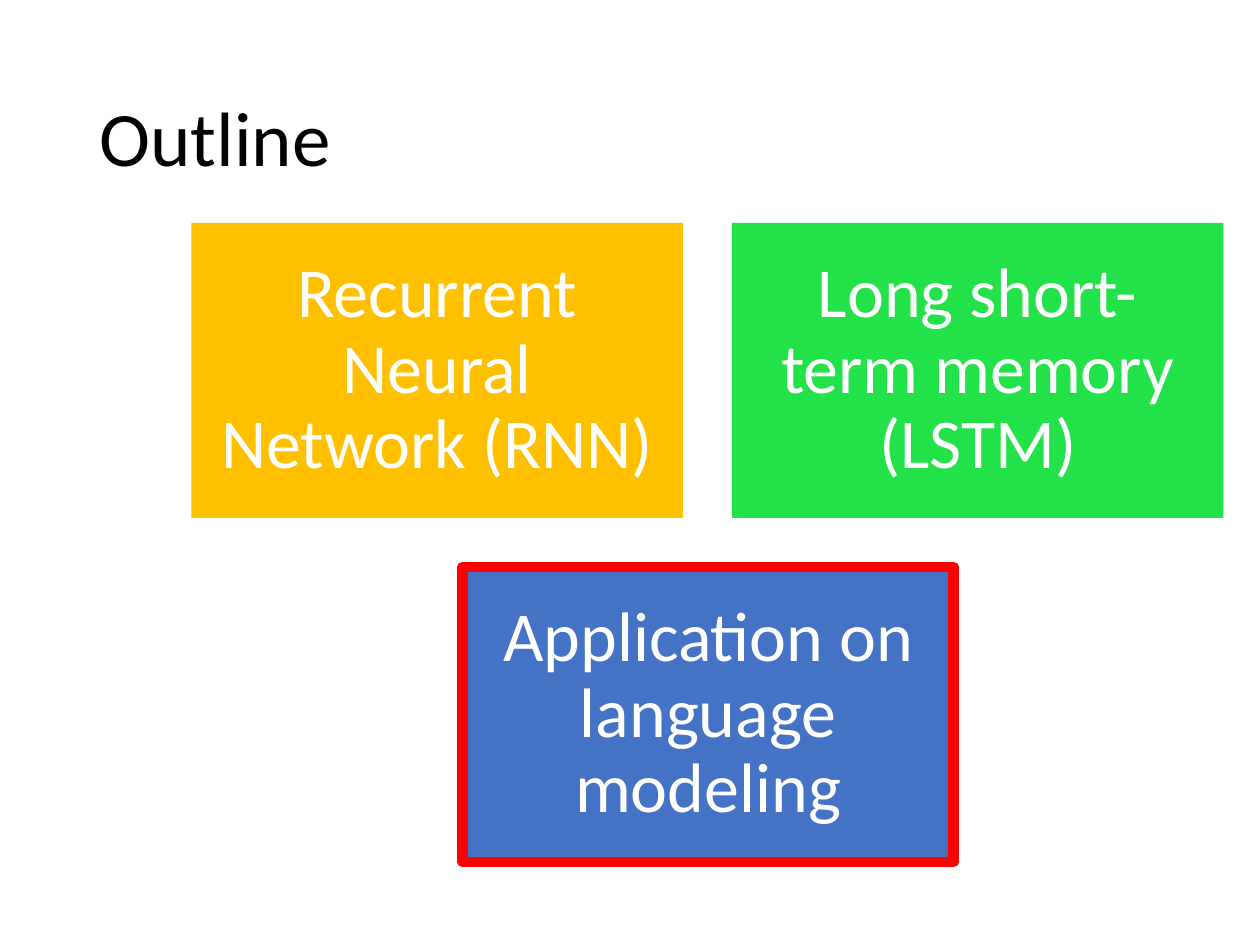
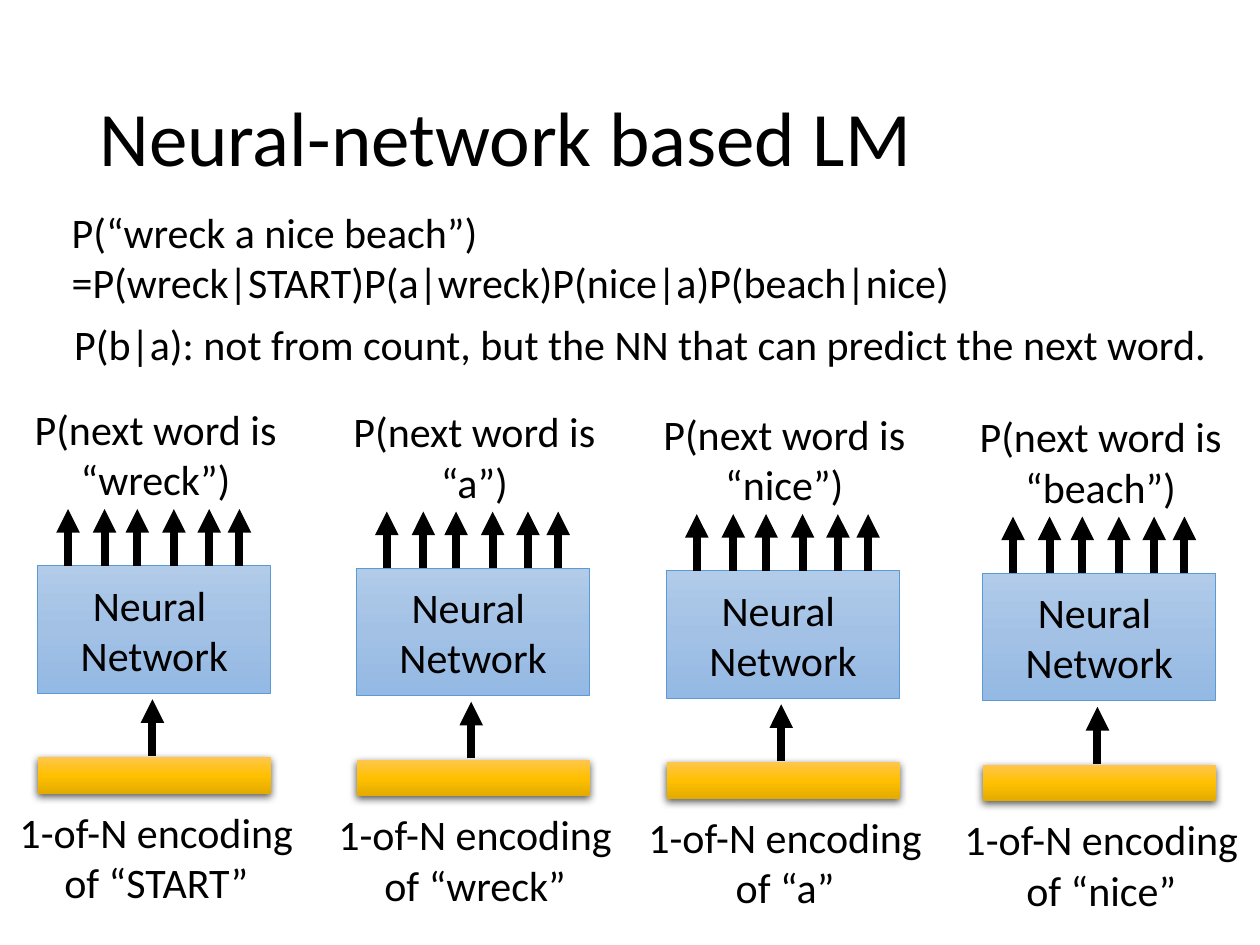
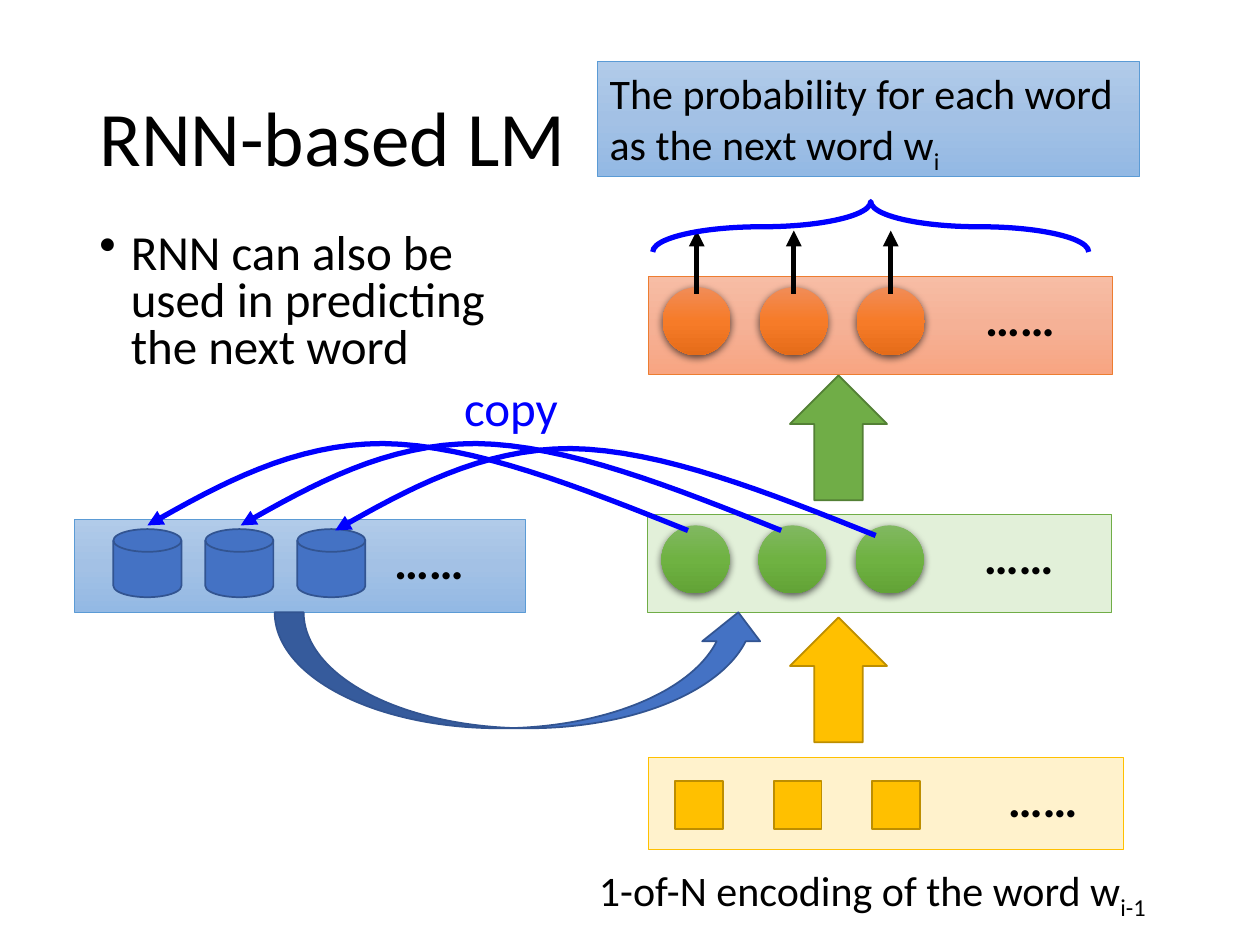
"""Build three slides on neural-network language models."""
from copy import deepcopy
from dataclasses import dataclass

from lxml import etree
from pptx import Presentation
from pptx import util as u
from pptx.dml.color import RGBColor
from pptx.enum import shapes, text
from pptx.oxml.ns import qn

KIND = shapes.MSO_SHAPE
LEFT, MID = text.PP_ALIGN.LEFT, text.PP_ALIGN.CENTER


@dataclass(frozen=True)
class Theme:
    """Colours, gradients and type sizes shared by the slides."""
    font: str = "Calibri"
    title: int = 44
    card: int = 40
    large: int = 28
    body: int = 24
    black: str = "000000"
    white: str = "FFFFFF"
    red: str = "FF0000"
    ink: str = "0000FF"
    gold: str = "FFC000"
    umber: str = "BD8E00"
    cream: str = "FFF2CC"
    lime: str = "23E148"
    green: str = "70AD47"
    moss: str = "538035"
    mint: str = "E2F0D9"
    blue: str = "4472C4"
    navy: str = "325491"
    azure: str = "5B9BD5"
    orange: str = "ED7D31"
    sky: tuple = ("B1CBE9", "A3C1E5", "93B9E4")
    amber: tuple = ("FFC64B", "FFC000", "E3AB00")
    leaf: tuple = ("81B861", "6FB242", "62A336")
    peach: tuple = ("F7BDA5", "F5B196", "F8A582")
    fire: tuple = ("F18C57", "F67B28", "E56C19")


T = Theme()


def rgb(code):
    """Turn a hex code into a colour."""
    return RGBColor.from_string(code)


def inch(*sizes):
    """Turn numbers into lengths in inches."""
    return [u.Inches(size) for size in sizes]


def write(frame, words, size=T.body, color=T.black, align=LEFT, bold=False,
          space=None, anchor=text.MSO_ANCHOR.TOP, sub=""):
    """Fill a text frame with styled words and an optional subscript."""
    frame.word_wrap = True
    frame.vertical_anchor = anchor
    frame.text = words
    if sub:
        low = frame.paragraphs[-1].add_run()
        low.text = sub
        low._r.get_or_add_rPr().set("baseline", "-25000")
    for para in frame.paragraphs:
        para.alignment = align
        para.line_spacing = space
        for run in para.runs:
            font = run.font
            font.name, font.size, font.bold = T.font, u.Pt(size), bold
            font.color.rgb = rgb(color)


def label(slide, box, words, **style):
    """Place a text box and return its frame."""
    frame = slide.shapes.add_textbox(*inch(*box)).text_frame
    write(frame, words, **style)
    return frame


def blend(shape, colors):
    """Fill a shape with a three-stop vertical gradient."""
    shape.fill.gradient()
    shape.fill.gradient_angle = 270
    stops = shape._element.spPr.find(qn("a:gradFill")).find(qn("a:gsLst"))
    stops.insert(1, deepcopy(stops[0]))
    for i, (stop, code) in enumerate(zip(shape.fill.gradient_stops, colors)):
        stop.position = i / 2
        stop.color.rgb = rgb(code)


def shade(shape):
    """Add a soft shadow below a shape."""
    effect = shape._element.spPr.find(qn("a:effectLst"))
    outer = etree.SubElement(effect, qn("a:outerShdw"), blurRad="57150",
                             dist="19050", dir="5400000", algn="ctr", rotWithShape="0")
    tint = etree.SubElement(outer, qn("a:srgbClr"), val=T.black)
    etree.SubElement(tint, qn("a:alpha"), val="63000")


def draw(slide, kind, box, fill=None, line=None, width=1, glow=False):
    """Place a preset shape with its fill, outline and shadow."""
    shape = slide.shapes.add_shape(kind, *inch(*box))
    shape.shadow.inherit = False
    if isinstance(fill, tuple):
        blend(shape, fill)
    elif fill:
        shape.fill.solid()
        shape.fill.fore_color.rgb = rgb(fill)
    else:
        shape.fill.background()
    if line:
        shape.line.color.rgb = rgb(line)
        shape.line.width = u.Pt(width)
    else:
        shape.line.fill.background()
    if glow:
        shade(shape)
    return shape


def point(shape, color, width):
    """Style a line and end it with an arrowhead."""
    shape.line.color.rgb = rgb(color)
    shape.line.width = u.Pt(width)
    ln = shape._element.spPr.find(qn("a:ln"))
    etree.SubElement(ln, qn("a:tailEnd"), type="triangle")


def rise(slide, x, y, height, width):
    """Draw a black arrow straight up from a point."""
    line = slide.shapes.add_connector(shapes.MSO_CONNECTOR.STRAIGHT,
                                      *inch(x, y, x, y - height))
    point(line, T.black, width)
    etree.SubElement(line._element.spPr, qn("a:effectLst"))


def bend(p, q, r, s, steps=16):
    """List the points of a cubic curve after its start."""
    for i in range(1, steps + 1):
        t = i / steps
        yield tuple((1 - t) ** 3 * a + 3 * t * (1 - t) ** 2 * b
                    + 3 * t * t * (1 - t) * c + t ** 3 * d
                    for a, b, c, d in zip(p, q, r, s))


def loop(slide, x, y):
    """Draw the curved arrow that copies one unit back to memory."""
    knots = [(0, 0), (-0.85, -0.34), (-1.7, -0.68), (-2.42, -0.69),
             (-3.13, -0.69), (-3.71, -0.37), (-4.29, -0.04)]
    dots = [*bend(*knots[:4]), *bend(*knots[3:])]
    form = slide.shapes.build_freeform(*inch(x, y))
    form.add_line_segments([inch(x + dx, y + dy) for dx, dy in dots], close=False)
    shape = form.convert_to_shape()
    shape.shadow.inherit = False
    shape.fill.background()
    point(shape, T.ink, 3)


def start(deck, name):
    """Add a blank slide with its title."""
    slide = deck.slides.add_slide(deck.slide_layouts[6])
    label(slide, (0.69, 0.4, 8.62, 1.45), name, size=T.title, space=0.9,
          anchor=text.MSO_ANCHOR.MIDDLE)
    return slide


def card(slide, box, words, fill, line=None):
    """Draw one topic card."""
    shape = draw(slide, KIND.RECTANGLE, box, fill, line, 6)
    frame = shape.text_frame
    frame.margin_left = frame.margin_right = u.Inches(0.17)
    frame.margin_top = frame.margin_bottom = u.Inches(0.17)
    write(frame, words, T.card, T.white, MID, space=0.9,
          anchor=text.MSO_ANCHOR.MIDDLE)


def topics(deck):
    """Build the outline slide."""
    slide = start(deck, "Outline")
    wide, high = 3.9, 2.34
    card(slide, (1.52, 1.77, wide, high), "Recurrent Neural Network (RNN)", T.gold)
    card(slide, (5.81, 1.77, wide, high), "Long short-term memory (LSTM)", T.lime)
    card(slide, (3.67, 4.5, wide, high), "Application on language modeling",
         T.blue, T.red)


def net(slide, box, given, guess):
    """Draw one network with its input below and its output above."""
    x, y, wide, high = box
    shape = draw(slide, KIND.RECTANGLE, box, T.sky, T.azure, 0.5)
    write(shape.text_frame, "Neural \nNetwork", align=MID,
          anchor=text.MSO_ANCHOR.MIDDLE)
    rise(slide, x + 0.91, y + high + 0.5, 0.45, 4.5)
    for dx in (0.24, 0.53, 0.79, 1.08, 1.36, 1.6):
        rise(slide, x + dx, y, 0.45, 4.5)
    draw(slide, KIND.RECTANGLE, (x, y + 1.52, wide, 0.29), T.amber, glow=True)
    label(slide, (x - 0.27, y + 1.86, 2.42, 0.91),
          f"1-of-N encoding of “{given}”", align=MID)
    label(slide, (x - 0.32, y - 1.34, 2.51, 0.91),
          f"P(next word is “{guess}”)", align=MID)


def chain(deck):
    """Build the slide that multiplies the word predictions."""
    slide = start(deck, "Neural-network based LM")
    label(slide, (0.47, 1.59, 7.31, 0.91), "P(“wreck a nice beach”)\n"
          "=P(wreck|START)P(a|wreck)P(nice|a)P(beach|nice)")
    label(slide, (0.49, 2.48, 9.34, 0.5),
          "P(b|a): not from count, but the NN that can predict the next word.")
    words = ("START", "wreck", "a", "nice", "beach")
    for i, x in enumerate((0.3, 2.83, 5.29, 7.8)):
        net(slide, (x, 4.49 + 0.02 * i, 1.85, 1.01), words[i], words[i + 1])


def layer(slide, box, fill, line, kind, unit, first, step, size, dots,
          edge=None, glow=False):
    """Draw a band of three units followed by dots."""
    x, y, _, _ = box
    draw(slide, KIND.RECTANGLE, box, fill, line, 0.5)
    dx, dy = first
    for i in range(3):
        draw(slide, kind, (x + dx + i * step, y + dy, size, size), unit, edge,
             glow=glow)
    label(slide, (x + dots, y + 0.04, 1.46, 0.57), "……", size=T.large, bold=True)


def note(slide, box, words):
    """Write the bulleted remark."""
    frame = label(slide, box, words, size=T.large, space=0.8)
    para = frame.paragraphs[0]
    para.space_before = u.Pt(10)
    props = para._p.get_or_add_pPr()
    props.set("marL", str(u.Inches(0.25)))
    props.set("indent", str(u.Inches(-0.25)))
    etree.SubElement(props, qn("a:buChar"), char="•")


def recur(deck):
    """Build the slide of the recurrent model."""
    slide = start(deck, "RNN-based LM")
    note(slide, (0.69, 1.8, 3.83, 1.27),
         "RNN can also be used in predicting the next word")
    layer(slide, (5.15, 6.01, 3.77, 0.73), T.cream, T.gold, KIND.RECTANGLE,
          T.gold, (0.21, 0.19), 0.78, 0.38, 2.75, T.umber)
    layer(slide, (5.14, 4.08, 3.68, 0.78), T.mint, T.green, KIND.OVAL,
          T.leaf, (0.11, 0.09), 0.77, 0.54, 2.57, glow=True)
    layer(slide, (0.59, 4.12, 3.58, 0.74), T.sky, T.azure,
          KIND.FLOWCHART_MAGNETIC_DISK, T.blue, (0.31, 0.08), 0.73, 0.54, 2.44,
          T.navy)
    layer(slide, (5.15, 2.19, 3.68, 0.78), T.peach, T.orange, KIND.OVAL,
          T.fire, (0.11, 0.09), 0.77, 0.54, 2.57, glow=True)
    for y, fill, line in ((4.9, T.gold, T.umber), (2.98, T.green, T.moss)):
        draw(slide, KIND.UP_ARROW, (6.27, y, 0.77, 0.99), fill, line)
    draw(slide, KIND.CURVED_UP_ARROW, (2.18, 4.86, 3.91, 0.92), T.blue, T.navy)
    for i in range(3):
        rise(slide, 5.53 + 0.77 * i, 2.33, 0.5, 3)
    for x, y in ((5.46, 4.21), (6.2, 4.21), (6.95, 4.25)):
        loop(slide, x, y)
    label(slide, (3.53, 2.95, 1.05, 0.57), "copy", size=T.large, color=T.ink,
          align=MID)
    label(slide, (4.49, 6.81, 4.91, 0.5), "1-of-N encoding of the word w",
          align=MID, sub="i-1 ")
    brace = draw(slide, KIND.LEFT_BRACE, (6.71, 0.07, 0.4, 3.46), line=T.ink, width=3)
    brace.adjustments[0] = 2.158
    brace.rotation = 90
    shape = draw(slide, KIND.RECTANGLE, (4.74, 0.49, 4.3, 0.91), T.sky, T.azure, 0.5)
    write(shape.text_frame, "The probability for each word as the next word w",
          sub="i")


def main():
    """Build and save the deck."""
    deck = Presentation()
    deck.slide_width, deck.slide_height = inch(10, 7.5)
    topics(deck)
    chain(deck)
    recur(deck)
    deck.save("out.pptx")


if __name__ == "__main__":
    main()
